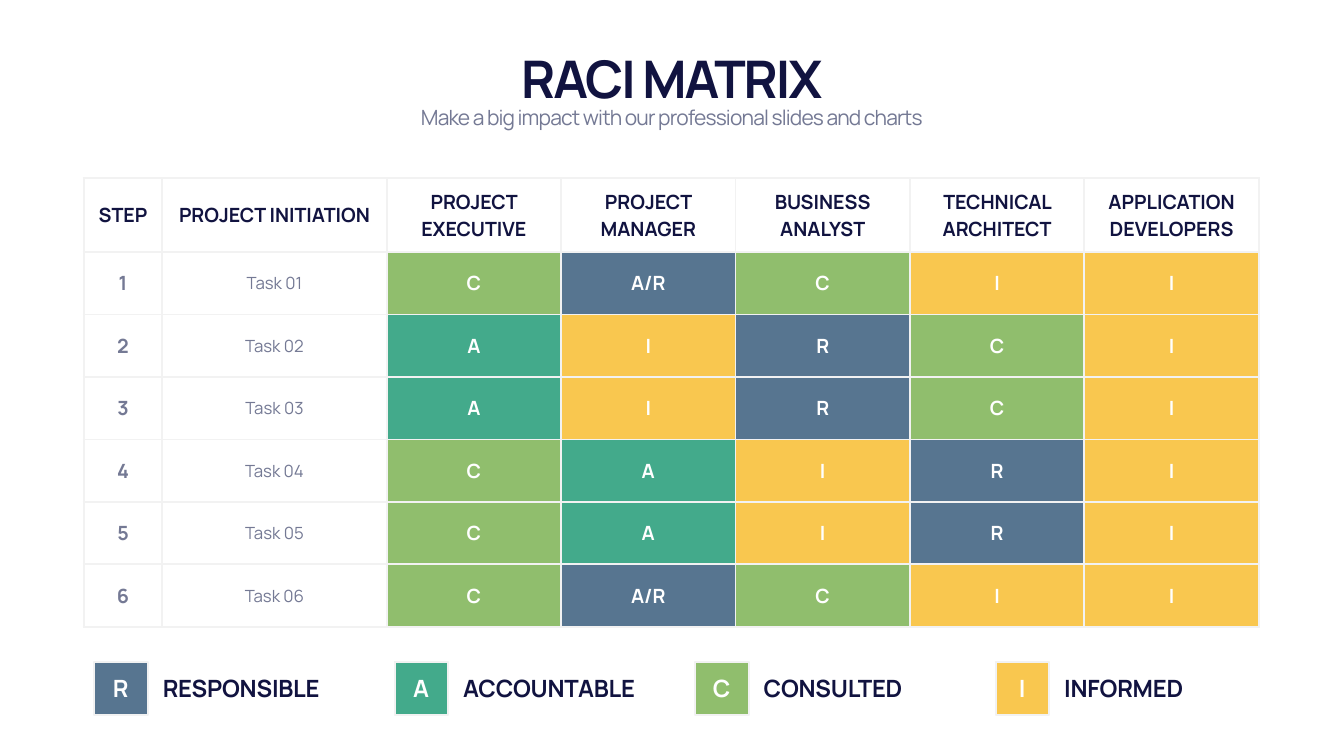
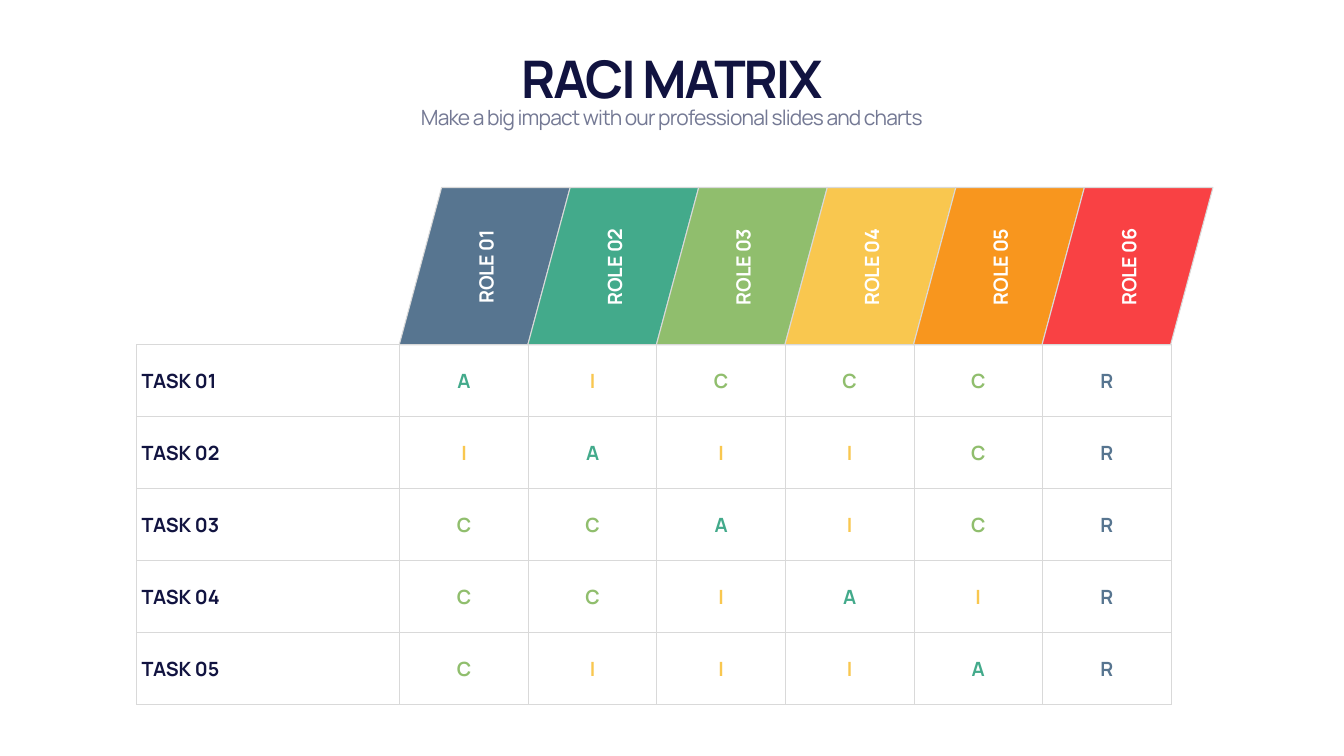
from lxml import etree
from pptx import Presentation
from pptx.dml.color import RGBColor
from pptx.enum.shapes import MSO_SHAPE as Shape
from pptx.enum.text import MSO_ANCHOR as Anchor, MSO_AUTO_SIZE as Fit, PP_ALIGN as Align
from pptx.oxml.ns import qn
from pptx.util import Inches, Pt

FONT = "Manrope"
NAVY = RGBColor(0x11, 0x13, 0x40)
GRAY = RGBColor(0x74, 0x79, 0x94)
WHITE = RGBColor(0xFF, 0xFF, 0xFF)
PALE = RGBColor(0xF2, 0xF2, 0xF2)
RULE = RGBColor(0xD9, 0xD9, 0xD9)
BLUE = RGBColor(0x57, 0x75, 0x90)
TEAL = RGBColor(0x43, 0xAA, 0x8B)
GREEN = RGBColor(0x90, 0xBE, 0x6D)
YELLOW = RGBColor(0xF9, 0xC7, 0x4F)
ORANGE = RGBColor(0xF8, 0x96, 0x1E)
RED = RGBColor(0xF9, 0x41, 0x44)

CODES = {"R": BLUE, "A": TEAL, "C": GREEN, "I": YELLOW}
LEGEND = ["RESPONSIBLE", "ACCOUNTABLE", "CONSULTED", "INFORMED"]
TITLE = "RACI MATRIX"
TAGLINE = "Make a big impact with our professional slides and charts"

HEADS = ["STEP", "PROJECT INITIATION", "PROJECT EXECUTIVE", "PROJECT MANAGER",
         "BUSINESS ANALYST", "TECHNICAL ARCHITECT", "APPLICATION DEVELOPERS"]
STEPS = ["C A/R C I I", "A I R C I", "A I R C I",
         "C A I R I", "C A I R I", "C A/R C I I"]
ROLES = [BLUE, TEAL, GREEN, YELLOW, ORANGE, RED]
TASKS = ["A I C C C R", "I A I I C R", "C C A I C R", "C C I A I R", "C I I I A R"]


# Text and line helpers
def write(frame, text, size, color, bold=True, align=Align.CENTER, track=0):
    frame.text = text
    par = frame.paragraphs[0]
    par.alignment = align
    run = par.runs[0]
    font = run.font
    font.name, font.size, font.bold = FONT, Pt(size), bold
    font.color.rgb = color
    if track:
        run._r.get_or_add_rPr().set("spc", str(round(track * 100)))


def fit(frame, anchor):
    frame.word_wrap = True
    frame.auto_size = Fit.SHAPE_TO_FIT_TEXT
    frame.vertical_anchor = anchor
    frame.margin_left = frame.margin_right = Inches(0.1)
    frame.margin_top = frame.margin_bottom = 0


def label(slide, box, text, size, color, anchor=Anchor.MIDDLE, **style):
    item = slide.shapes.add_textbox(*map(Inches, box))
    fit(item.text_frame, anchor)
    write(item.text_frame, text, size, color, **style)
    return item


def paint(shape, fill, line, width):
    shape.shadow.inherit = False
    shape.fill.solid()
    shape.fill.fore_color.rgb = fill
    shape.line.color.rgb = line
    shape.line.width = Pt(width)


# Table helpers
def edge(cell, color, width):
    props = cell._tc.get_or_add_tcPr()
    for spot, side in enumerate(("lnL", "lnR", "lnT", "lnB")):
        line = etree.Element(qn(f"a:{side}"), w=str(Pt(width)))
        solid = etree.SubElement(line, qn("a:solidFill"))
        etree.SubElement(solid, qn("a:srgbClr"), val=str(color))
        props.insert(spot, line)


def grid(slide, box, cols, rows, color, width):
    table = slide.shapes.add_table(len(rows), len(cols), *map(Inches, box)).table
    table.first_row = table.horz_banding = False
    for col, size in zip(table.columns, cols):
        col.width = Inches(size)
    for row, size in zip(table.rows, rows):
        row.height = Inches(size)
    for cell in table.iter_cells():
        cell.vertical_anchor = Anchor.MIDDLE
        cell.fill.background()
        edge(cell, color, width)
    return table


# Title and tagline, shared by both slides
def header(slide, box):
    left, top, width, height = box
    title = slide.shapes.title
    title.left, title.top, title.width, title.height = map(Inches, box)
    fit(title.text_frame, Anchor.BOTTOM)
    write(title.text_frame, TITLE, 74, NAVY, track=-2.9)
    label(slide, (left, top + 1.25, width, 0.61), TAGLINE, 30, GRAY,
          anchor=Anchor.TOP, bold=False, track=-1.2)


# Steps against roles, with filled code cells
def matrix(slide, box):
    table = grid(slide, box, [1.56, 4.45] + [3.46] * 5,
                 [1.46] + [1.24] * 6, PALE, 3)
    for col, head in enumerate(HEADS):
        write(table.cell(0, col).text_frame, head, 28, NAVY)
    for row, codes in enumerate(STEPS, 1):
        write(table.cell(row, 0).text_frame, str(row), 28, GRAY)
        write(table.cell(row, 1).text_frame, f"Task {row:02}", 24, GRAY, bold=False)
        for col, code in enumerate(codes.split(), 2):
            cell = table.cell(row, col)
            cell.fill.solid()
            cell.fill.fore_color.rgb = CODES[code[-1]]
            write(cell.text_frame, code, 28, WHITE)


# Key to the four codes
def legend(slide, box):
    left, top, width, side = box
    step = width / len(LEGEND)
    for num, (name, (code, color)) in enumerate(zip(LEGEND, CODES.items())):
        x = left + num * step
        tile = slide.shapes.add_shape(
            Shape.RECTANGLE, *map(Inches, (x, top, side, side)))
        paint(tile, color, PALE, 3)
        label(slide, (x + 0.2, top + 0.19, 0.65, 0.67), code, 34, WHITE, track=-0.3)
        label(slide, (x + 1.26, top + 0.19, 3.78, 0.67), name, 34, NAVY,
              align=Align.LEFT, track=-0.3)


# Slanted role heads
def banner(slide, box):
    left, top, width, height = box
    step, slant = width / len(ROLES), 0.84
    for num, color in enumerate(ROLES):
        x = left + num * step
        points = [(x + slant, top), (x + slant + step, top),
                  (x + step, top + height), (x, top + height)]
        points = [(Inches(px), Inches(py)) for px, py in points]
        path = slide.shapes.build_freeform(*points[0])
        path.add_line_segments(points[1:], close=True)
        paint(path.convert_to_shape(), color, RULE, 1.5)
    for num in range(len(ROLES)):
        name = label(slide, (left + num * step + 0.26, top + 1.29, 2.91, 0.57),
                     f"ROLE {num + 1:02}", 28, WHITE, track=-0.3)
        name.rotation = 270


# Tasks against roles, with coloured code letters
def chart(slide, box):
    table = grid(slide, box, [5.22] + [2.55] * 6,
                 [box[3] / len(TASKS)] * len(TASKS), RULE, 1.5)
    for row, codes in enumerate(TASKS):
        write(table.cell(row, 0).text_frame, f"TASK {row + 1:02}", 28, NAVY,
              align=Align.LEFT)
        for col, code in enumerate(codes.split(), 1):
            write(table.cell(row, col).text_frame, code, 28, CODES[code])


def start(deck):
    slide = deck.slides.add_slide(deck.slide_layouts[5])
    slide.background.fill.solid()
    slide.background.fill.fore_color.rgb = WHITE
    header(slide, (1.66, 0.82, 23.33, 1.35))
    return slide


def main():
    deck = Presentation()
    deck.slide_width, deck.slide_height = Inches(26.66), Inches(15)

    slide = start(deck)
    matrix(slide, (1.66, 3.54, 23.33, 8.91))
    legend(slide, (1.87, 13.13, 23.84, 1.06))

    slide = start(deck)
    banner(slide, (7.92, 3.72, 15.3, 3.12))
    chart(slide, (2.71, 6.84, 20.52, 7.14))

    deck.save("out.pptx")


if __name__ == "__main__":
    main()
